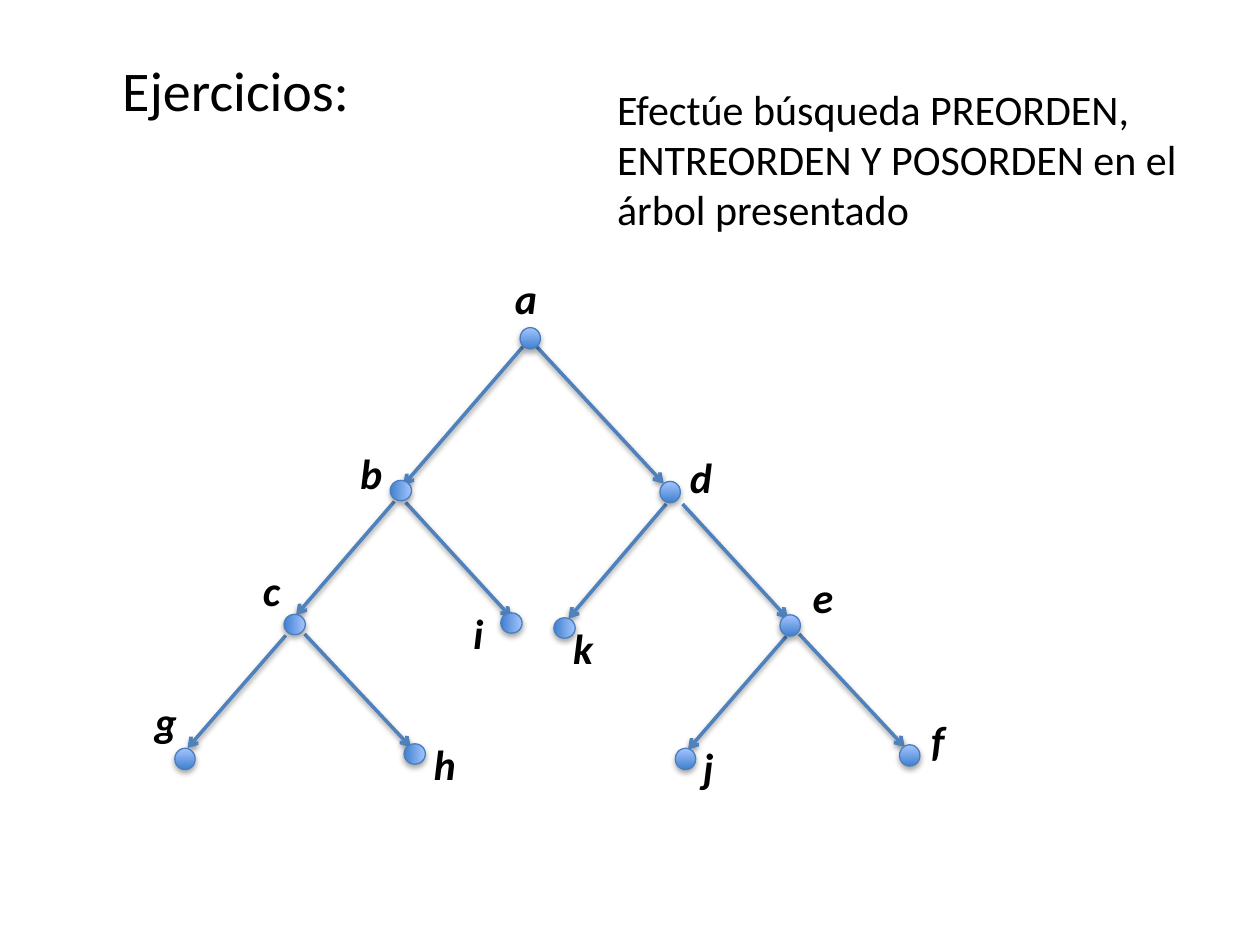
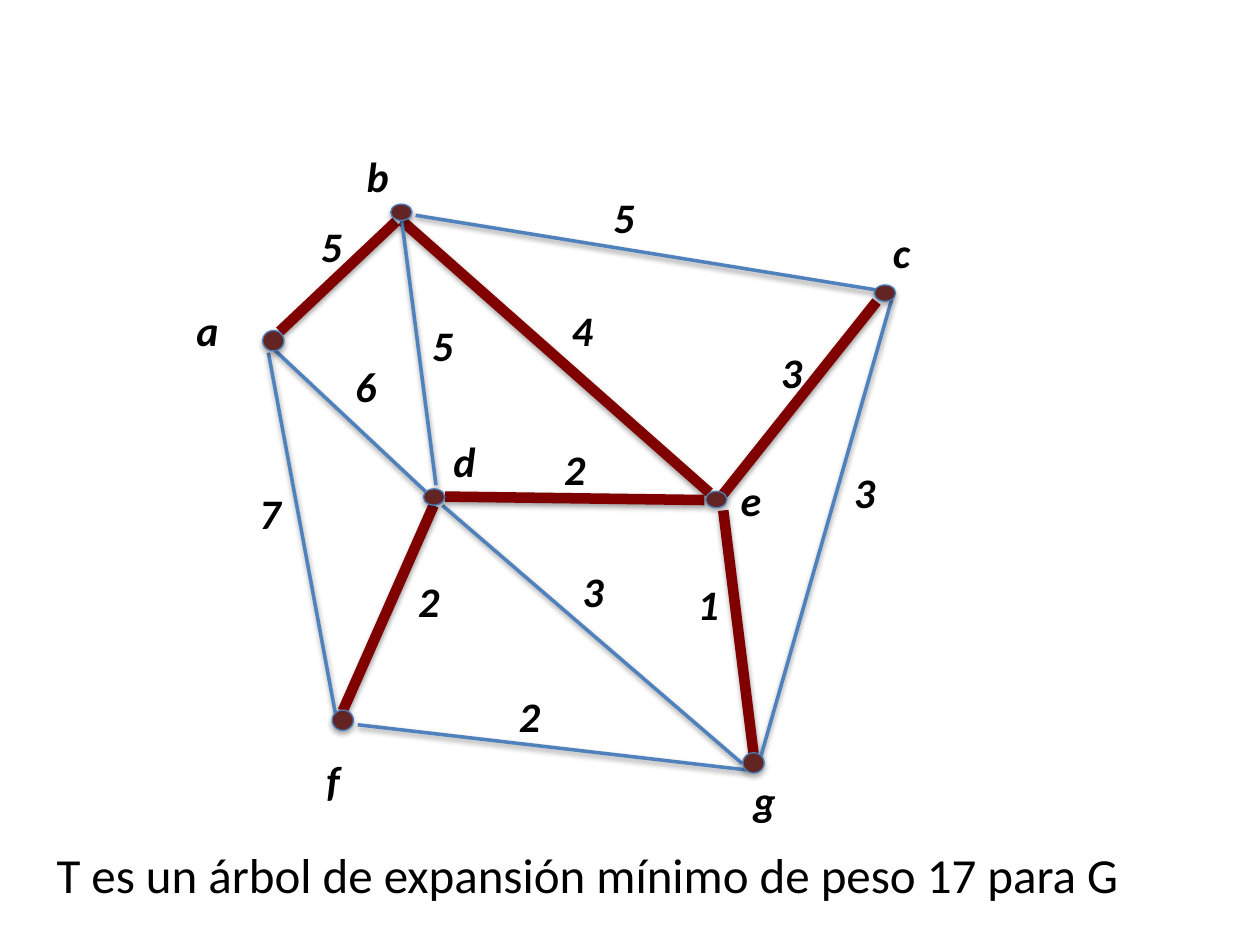
from dataclasses import dataclass

from lxml.etree import SubElement
from pptx import Presentation
from pptx.dml.color import RGBColor
from pptx.enum.shapes import MSO_CONNECTOR as Connector, MSO_SHAPE as Shape
from pptx.enum.text import MSO_ANCHOR as Anchor, MSO_AUTO_SIZE as AutoSize, PP_ALIGN as Align
from pptx.oxml.ns import qn
from pptx.util import Cm, Pt

# Shared look
FONT = "Calibri"
BLACK = "000000"
EDGE_BLUE = "4F81BD"
NODE_OUTLINE = "4B7EBC"
NODE_GRADIENT = ("3F80CE", "A4C4FF")
NODE_BROWN = "632523"
TREE_RED = "800000"
NODE_HEIGHT = 0.43
LABEL_SIZE = (1.7, 1.27)
TITLE_ONLY, BLANK = 5, 6


@dataclass
class Node:
    """Centre and label corner (measured from the centre), in cm."""
    center: tuple
    label_offset: tuple
    width: float = 0.41
    rotation: int = 90


@dataclass
class Edge:
    """Line between two named nodes; each end is shifted from its node's centre."""
    source: str
    target: str
    start_shift: tuple
    end_shift: tuple
    weight: str = ""
    weight_offset: tuple = (0, 0)  # from the midpoint between the nodes
    in_tree: bool = False


TREE_NODES = {
    "a": Node((8.15, 1.74), (-0.56, -1.46), rotation=0),
    "b": Node((5.54, 4.81), (-1.07, -1)),
    "c": Node((3.4, 7.51), (-0.89, -1.33)),
    "d": Node((10.97, 4.84), (0.15, -0.95), rotation=0),
    "e": Node((13.39, 7.53), (0.2, -1.21), rotation=0),
    "f": Node((15.8, 10.15), (0.18, -0.95), rotation=0),
    "g": Node((1.19, 10.22), (-0.86, -1.41), rotation=0),
    "h": Node((5.82, 10.12), (0.13, -0.44)),
    "i": Node((7.77, 7.48), (-1.02, -0.44)),
    "j": Node((11.28, 10.22), (0.1, -0.47), rotation=0),
    "k": Node((8.84, 7.58), (-0.08, -0.24)),
}
TREE_EDGES = [
    Edge("a", "b", (-0.15, 0.17), (0.05, -0.11)),
    Edge("a", "d", (0.13, 0.17), (-0.13, -0.17)),
    Edge("b", "c", (-0.13, 0.22), (0.03, -0.19)),
    Edge("b", "i", (0.1, 0.24), (0, -0.11)),
    Edge("d", "k", (-0.08, 0.24), (0.08, -0.19)),
    Edge("d", "e", (0.25, 0.24), (-0.05, -0.14)),
    Edge("c", "g", (-0.18, 0.22), (0.05, -0.22)),
    Edge("c", "h", (0.2, 0.19), (-0.08, -0.14)),
    Edge("e", "j", (-0.08, 0.22), (0.05, -0.19)),
    Edge("e", "f", (0.18, 0.17), (-0.1, -0.17)),
]

GRAPH_NODES = {
    "a": Node((2.97, 4.33), (-1.8, -0.85)),
    "b": Node((5.55, 1.74), (-0.95, -1.38), width=0.33),
    "c": Node((15.3, 3.37), (-0.09, -1.46), width=0.33),
    "d": Node((6.21, 7.48), (0.14, -1.36), width=0.33),
    "e": Node((11.9, 7.53), (0.24, -0.62), width=0.33),
    "f": Node((4.37, 11.98), (-0.58, 0.57)),
    "g": Node((12.65, 12.84), (-0.25, 0.11)),
}
GRAPH_EDGES = [
    Edge("d", "g", (0.17, 0.17), (-0.23, 0.01), "3", (-0.48, -1.42)),
    Edge("b", "e", (0.01, 0.17), (-0.14, -0.14), "4", (0.01, -1.16), True),
    Edge("b", "c", (0.29, 0.06), (-0.14, -0.06), "5", (-0.85, -1.36)),
    Edge("a", "d", (0.03, 0.19), (-0.17, -0.11), "6", (-0.22, -1.31)),
    Edge("e", "c", (0.14, -0.11), (-0.17, 0.17), "3", (-0.65, -1.13), True),
    Edge("a", "b", (0.13, -0.19), (-0.11, 0.19), "5", (-0.58, -1.26), True),
    Edge("d", "b", (0.04, -0.24), (0.01, 0.17), "5", (0.04, -0.83)),
    Edge("e", "g", (0.14, 0.22), (0, -0.19), "1", (-1, -1.19), True),
    Edge("c", "g", (0.14, 0.11), (0.15, -0.14), "3", (0.45, -1.37)),
    Edge("d", "e", (0.22, -0.01), (-0.24, 0.01), "2", (-0.47, -1.23), True),
    Edge("f", "g", (0.3, 0.09), (-0.15, 0.14), "2", (-0.84, -1.16)),
    Edge("d", "f", (-0.01, 0.17), (0, -0.19), "2", (0.35, -0.79), True),
    Edge("a", "f", (-0.1, 0.24), (-0.15, -0.14), "7", (-1.23, -0.99)),
]


# Helpers
def color(hex_string):
    return RGBColor.from_string(hex_string)


def shift(point, *offsets):
    return tuple(sum(values) for values in zip(point, *offsets))


def add_shadow(shape, distance, opacity):
    properties = shape._element.spPr
    effects = properties.find(qn("a:effectLst"))
    if effects is None:
        effects = SubElement(properties, qn("a:effectLst"))
    shadow = SubElement(effects, qn("a:outerShdw"), blurRad="40000",
                        dist=str(distance), dir="5400000", rotWithShape="0")
    shade = SubElement(shadow, qn("a:srgbClr"), val=BLACK)
    SubElement(shade, qn("a:alpha"), val=str(opacity * 1000))


def write_text(shape, text, size, emphasis=False):
    frame = shape.text_frame
    frame.text = text
    frame.word_wrap = True
    frame.auto_size = AutoSize.NONE
    frame.vertical_anchor = Anchor.TOP
    paragraph = frame.paragraphs[0]
    paragraph.alignment = Align.LEFT
    font = paragraph.runs[0].font
    font.name, font.size = FONT, Pt(size)
    font.bold = font.italic = emphasis
    font.color.rgb = color(BLACK)


def add_text(slide, text, corner, extent, size, emphasis=False):
    box = slide.shapes.add_textbox(*map(Cm, corner + extent))
    write_text(box, text, size, emphasis)


def add_label(slide, text, corner):
    add_text(slide, text, corner, LABEL_SIZE, 24, emphasis=True)


# Graph parts
def add_node(slide, node, center, fill_color):
    corner = shift(center, (-node.width / 2, -NODE_HEIGHT / 2))
    dot = slide.shapes.add_shape(Shape.OVAL, *map(Cm, corner + (node.width, NODE_HEIGHT)))
    dot.rotation = node.rotation
    if fill_color:
        dot.fill.solid()
        dot.fill.fore_color.rgb = color(fill_color)
    else:
        dot.fill.gradient()
        dot.fill.gradient_angle = 90
        for stop, stop_color in zip(dot.fill.gradient_stops, NODE_GRADIENT):
            stop.color.rgb = color(stop_color)
    dot.line.color.rgb = color(NODE_OUTLINE)
    dot.line.width = Pt(0.75)
    dot.shadow.inherit = False
    add_shadow(dot, 23000, 35)


def add_edge(slide, start, end, in_tree, directed):
    line = slide.shapes.add_connector(Connector.STRAIGHT, *map(Cm, start + end))
    line.line.color.rgb = color(TREE_RED if in_tree else EDGE_BLUE)
    line.line.width = Pt(6 if in_tree else 2)
    if directed:
        SubElement(line._element.spPr.find(qn("a:ln")), qn("a:tailEnd"), type="arrow")
    add_shadow(line, 20000, 38)


def draw_graph(slide, origin, nodes, edges, fill_color=None, directed=False):
    centers = {name: shift(origin, node.center) for name, node in nodes.items()}
    for edge in edges:
        source, target = centers[edge.source], centers[edge.target]
        add_edge(slide, shift(source, edge.start_shift), shift(target, edge.end_shift),
                 edge.in_tree, directed)
    for name, node in nodes.items():
        add_node(slide, node, centers[name], fill_color)
        add_label(slide, name, shift(centers[name], node.label_offset))
    for edge in edges:
        if edge.weight:
            ends = zip(centers[edge.source], centers[edge.target])
            middle = tuple(sum(pair) / 2 for pair in ends)
            add_label(slide, edge.weight, shift(middle, edge.weight_offset))


# Slides
def add_exercise_slide(presentation):
    slide = presentation.slides.add_slide(presentation.slide_layouts[TITLE_ONLY])
    title = slide.shapes.title
    title.left, title.top, title.width, title.height = map(Cm, (2.21, 0.99, 8.86, 1.63))
    write_text(title, "Ejercicios:", 32)
    add_text(slide, "Efectúe búsqueda PREORDEN, ENTREORDEN Y POSORDEN en el árbol presentado",
             (12.19, 1.55), (12.37, 3.33), 24)
    draw_graph(slide, (2.54, 5.08), TREE_NODES, TREE_EDGES, directed=True)


def add_spanning_tree_slide(presentation):
    slide = presentation.slides.add_slide(presentation.slide_layouts[BLANK])
    draw_graph(slide, (2.54, 2.54), GRAPH_NODES, GRAPH_EDGES, NODE_BROWN)
    add_text(slide, "T es un árbol de expansión mínimo de peso 17 para G",
             (0.89, 16.89), (22.73, 1.45), 28)


def main():
    presentation = Presentation()
    presentation.slide_width, presentation.slide_height = Cm(25.4), Cm(19.05)
    add_exercise_slide(presentation)
    add_spanning_tree_slide(presentation)
    presentation.save("out.pptx")


if __name__ == "__main__":
    main()
